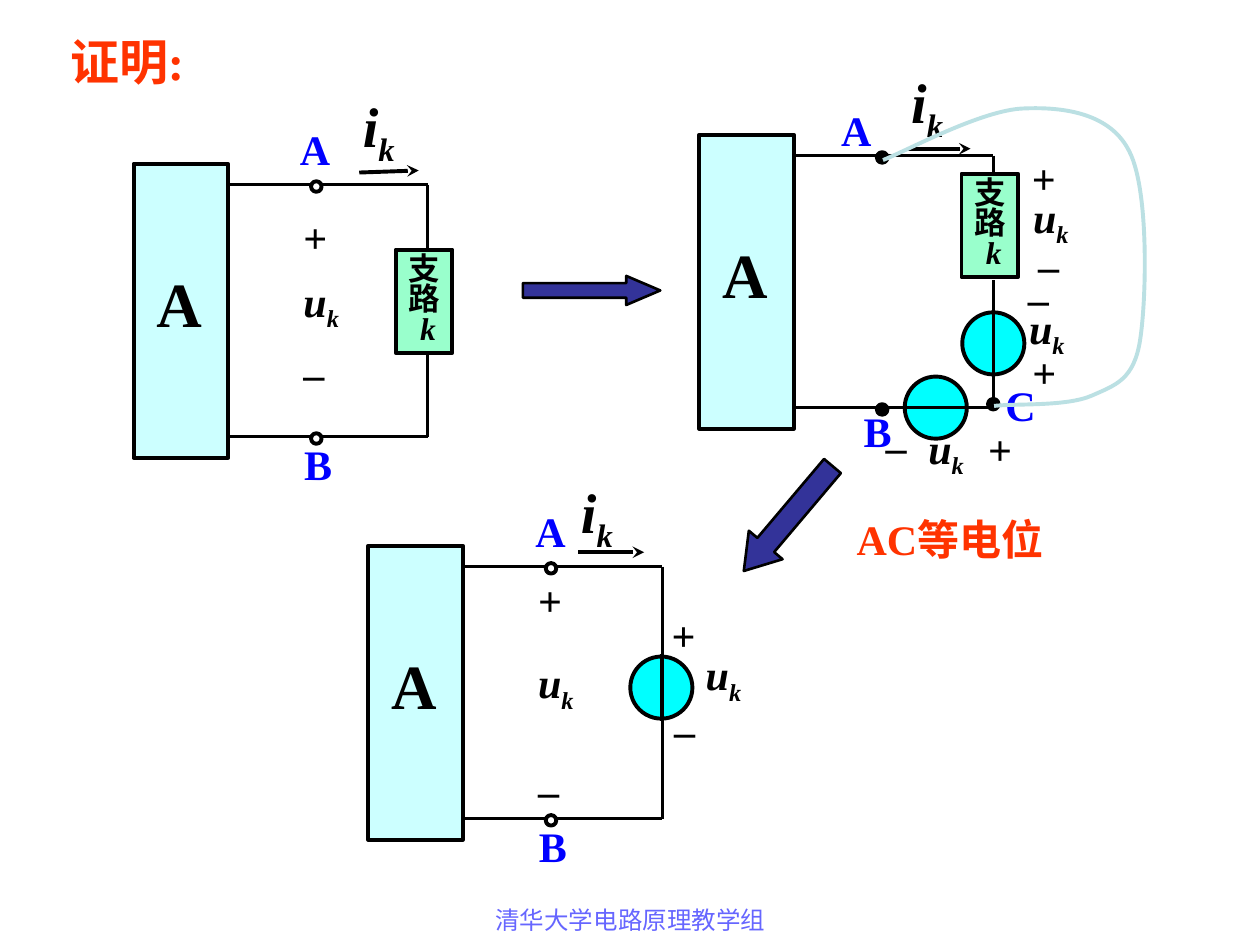
from lxml import etree
from pptx import Presentation
from pptx import util as u
from pptx.dml import color
from pptx.enum import shapes, text
from pptx.oxml import ns

Pt = u.Pt
FONT = "Times New Roman"
BLACK, WHITE, RED, BLUE = "000000", "FFFFFF", "FF3300", "0000FF"
BLOCK_WIDTH, BLOCK_HEIGHT = 54, 168
TOP_WIRE, BOTTOM_WIRE, RIGHT_WIRE = 12, 156, 168
TERMINAL_X = 104.5


def rgb(value):
    return color.RGBColor.from_string(value)


def style_text(para, size, ink, bold=True, italic=None, center=False):
    font = para.font
    font.name, font.size, font.bold, font.italic = FONT, Pt(size), bold, italic
    font.color.rgb = rgb(ink)
    para.alignment = text.PP_ALIGN.CENTER if center else text.PP_ALIGN.LEFT


def add_label(parts, x, y, width, height, words, size=24, ink=BLACK,
              bold=True, center=False, wrap=True, middle=False):
    box = parts.add_textbox(Pt(x), Pt(y), Pt(width), Pt(height))
    frame = box.text_frame
    frame.word_wrap = wrap
    if middle:
        frame.vertical_anchor = text.MSO_ANCHOR.MIDDLE
    para = frame.paragraphs[0]
    para.add_run().text = words
    style_text(para, size, ink, bold, center=center)
    return para


def add_sign(parts, x, y, words):
    add_label(parts, x, y, 30, 36, words)


def add_node_name(parts, x, y, words):
    add_label(parts, x, y, 31, 36, words, ink=BLUE, center=True,
              wrap=False, middle=True)


def add_quantity(parts, x, y, letter, size=24):
    """A letter with the subscript k."""
    para = add_label(parts, x, y, 43, 40 if size == 24 else 51, letter, size)
    para.font.italic = True
    span = para.add_run()
    span.text = "k"
    span._r.get_or_add_rPr().set("baseline", "-25000")


def add_solid(parts, kind, x, y, width, height, fill, weight=2.25):
    shape = parts.add_shape(kind, Pt(x), Pt(y), Pt(width), Pt(height))
    shape.shadow.inherit = False
    shape.fill.solid()
    shape.fill.fore_color.rgb = rgb(fill)
    shape.line.color.rgb = rgb(BLACK)
    shape.line.width = Pt(weight)
    return shape


def add_wire(parts, x1, y1, x2, y2, weight=1.5, arrow=False):
    wire = parts.add_connector(shapes.MSO_CONNECTOR.STRAIGHT,
                               Pt(x1), Pt(y1), Pt(x2), Pt(y2))
    wire.line.color.rgb = rgb(BLACK)
    wire.line.width = Pt(weight)
    if arrow:
        etree.SubElement(wire.line._get_or_add_ln(), ns.qn("a:tailEnd"),
                         type="stealth")
    etree.SubElement(wire._element.spPr, ns.qn("a:effectLst"))


def add_source(parts, x, y):
    add_solid(parts, shapes.MSO_SHAPE.OVAL, x, y, 35.5, 35.5, "00FFFF")


def add_terminal(parts, x, y, fill):
    add_solid(parts, shapes.MSO_SHAPE.OVAL, x - 3, y - 3, 6, 6, fill)


def add_branch(parts, x, y):
    box = add_solid(parts, shapes.MSO_SHAPE.RECTANGLE, x, y, 32.4, 59, "99FFCC")
    frame = box.text_frame
    frame.word_wrap = False
    frame.vertical_anchor = text.MSO_ANCHOR.MIDDLE
    frame.text = "支\n路\nk"
    for para in frame.paragraphs:
        style_text(para, 18, BLACK, center=True)
        para.line_spacing = 0.8
    para.font.italic = True
    para._p.get_or_add_pPr().set("marL", str(Pt(4.5)))


def add_network(parts, x, y, upper_end, lower_end, dots, a_at, b_at,
                current_at, arrow):
    """Block A, its loop of wires, terminals A and B and the current."""
    add_solid(parts, shapes.MSO_SHAPE.RECTANGLE, x, y,
              BLOCK_WIDTH, BLOCK_HEIGHT, "CCFFFF")
    add_label(parts, x + 6, y + 54, 36, 50, "A", 36)
    right = x + RIGHT_WIRE
    for level, end in ((TOP_WIRE, upper_end), (BOTTOM_WIRE, lower_end)):
        add_wire(parts, x + BLOCK_WIDTH, y + level, right, y + level)
        add_wire(parts, right, y + level, right, y + end)
        add_terminal(parts, x + TERMINAL_X, y + level + 1, dots)
    add_node_name(parts, x + a_at[0], y + a_at[1], "A")
    add_node_name(parts, x + b_at[0], y + b_at[1], "B")
    add_quantity(parts, x + current_at[0], y + current_at[1], "i", 32)
    x1, y1, x2, y2 = arrow
    add_wire(parts, x + x1, y + y1, x + x2, y + y2, 2.25, arrow=True)


def add_port_voltage(parts, x, y, plus, minus):
    add_sign(parts, x + 90, y + plus, "+")
    add_sign(parts, x + 90, y + minus, "–")
    add_quantity(parts, x + 90, y + 60, "u")


def draw_branch_circuit(page, x, y):
    parts = page.shapes.add_group_shape().shapes
    add_network(parts, x, y, 48, 107, WHITE, (88, -26.6), (90, 153.4),
                (124, -44.6), (129, 5, 163, 3.8))
    add_branch(parts, x + 149.8, y + 49)
    add_port_voltage(parts, x, y, 23.8, 101.5)


def draw_two_source_circuit(page, x, y):
    parts = page.shapes.add_group_shape().shapes
    add_source(parts, x + 117.4, y + 138.2)
    add_source(parts, x + 150.3, y + 101.5)
    add_network(parts, x, y, 30, 83, BLACK, (74, -21), (86.4, 151),
                (114, -42), (119.5, 8, 155, 8))
    add_branch(parts, x + 149.8, y + 22.3)
    add_terminal(parts, x + RIGHT_WIRE, y + 154, BLACK)
    add_node_name(parts, x + 167.8, y + 136, "C")
    for dx, dy in ((183.6, 28.8), (181.4, 92.2), (123.8, 160.6)):
        add_quantity(parts, x + dx, y + dy, "u")
    for dx, dy, sign in ((183, 6.5, "+"), (186.5, 56.2, "–"), (180.7, 74.9, "–"),
                         (183.3, 117.4, "+"), (158, 161.3, "+"), (99.4, 159.5, "–")):
        add_sign(parts, x + dx, y + dy, sign)


def draw_source_circuit(page, x, y):
    parts = page.shapes.add_group_shape().shapes
    add_source(parts, x + 149.8, y + 63.4)
    add_wire(parts, x + 167.8, y + 62, x + 167.8, y + 100, 2.25)
    add_network(parts, x, y, 63.4, 90, WHITE, (88.5, -26.6), (90, 153.4),
                (114.5, -42.5), (120, 3.8, 157.7, 3.8))
    add_port_voltage(parts, x, y, 13, 121.7)
    add_sign(parts, x + 166.3, y + 33.1, "+")
    add_sign(parts, x + 167.8, y + 87.1, "–")
    add_quantity(parts, x + 185.8, y + 55.4, "u")


def draw_equipotential_curve(page, x, y):
    """Smooth curve from A round to C; three points make one segment."""
    points = [(105, 14.5), (118, 9.5), (162, -14.5), (185.8, -15),
              (209, -16), (235.5, -12), (246, 10), (257, 32), (255.6, 93.5),
              (252, 117), (248.5, 140), (238, 143), (224.6, 149),
              (210, 155.5), (180.7, 153.5), (168.5, 155)]
    spots = [(Pt(x + dx), Pt(y + dy)) for dx, dy in points]
    builder = page.shapes.build_freeform(*spots[0])
    builder.add_line_segments(spots[1:], close=False)
    curve = builder.convert_to_shape()
    steps = list(curve._element.iter(ns.qn("a:lnTo")))
    for first in range(0, len(steps), 3):
        bend = etree.Element(ns.qn("a:cubicBezTo"))
        steps[first].addprevious(bend)
        for step in steps[first:first + 3]:
            bend.append(step[0])
            step.getparent().remove(step)
    curve.shadow.inherit = False
    curve.fill.background()
    curve.line.color.rgb = rgb("BBE0E3")
    curve.line.width = Pt(2.25)


def draw_step_arrow(page, x, y, width, height, head, turn=0):
    arrow = add_solid(page.shapes, shapes.MSO_SHAPE.RIGHT_ARROW,
                      x, y, width, height, "333399", 1.5)
    arrow.adjustments[0], arrow.adjustments[1] = 0.5, head
    arrow.rotation = turn


def main():
    deck = Presentation()
    deck.slide_width, deck.slide_height = Pt(720), Pt(540)
    page = deck.slides.add_slide(deck.slide_layouts[6])

    # Title
    add_label(page.shapes, 33, 14.4, 86.4, 41, "证明:", 28, RED,
              wrap=False, middle=True)
    # Circuits and the equipotential link
    draw_two_source_circuit(page, 399.6, 77)
    draw_branch_circuit(page, 76.3, 93.6)
    add_label(page.shapes, 479.5, 290, 126.7, 36, "AC等电位", ink=RED,
              center=True, wrap=False, middle=True)
    draw_equipotential_curve(page, 399.6, 77)
    draw_source_circuit(page, 210.4, 311.8)
    # Steps of the proof
    draw_step_arrow(page, 298.8, 157.7, 78.5, 16.6, 1.17)
    draw_step_arrow(page, 411.1, 283.7, 78.5, 25.2, 0.77, 130.2)
    # Footer
    add_label(page.shapes, 246.2, 513.4, 228.2, 37.4, "清华大学电路原理教学组",
              14, "6666FF", bold=False, center=True)
    deck.save("out.pptx")


if __name__ == "__main__":
    main()
